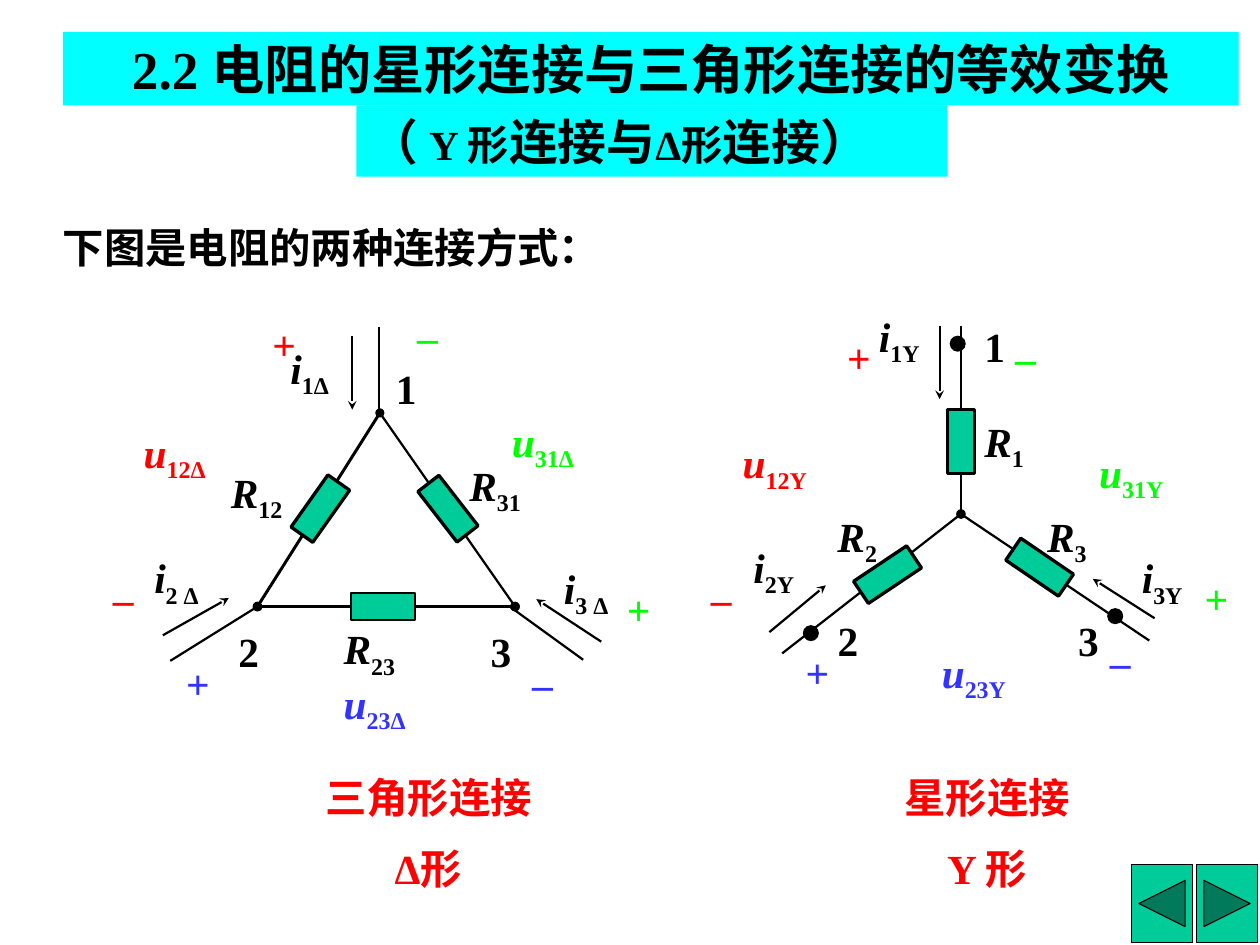
from dataclasses import dataclass

from lxml import etree
from pptx import Presentation
from pptx import util as u
from pptx.dml.color import RGBColor
from pptx.enum import shapes, text
from pptx.oxml.ns import qn


@dataclass(frozen=True)
class Theme:
    """Colours, font, type sizes and line widths of the slide."""
    font: str = "Times New Roman"
    title: int = 36
    subtitle: int = 33
    body: int = 28
    black: str = "000000"
    red: str = "FF0000"
    blue: str = "3333FF"
    green: str = "00FF00"
    cyan: str = "00FFFF"
    teal: str = "00CC99"
    thin: float = 0.75
    wire: float = 1.5
    medium: float = 2
    thick: float = 2.25


T = Theme()
PAIR_COLORS = {"12": T.red, "23": T.blue, "31": T.green}
FRAME = dict(margin_left=u.Inches(0.12), margin_right=u.Inches(0.12),
             margin_top=u.Inches(0.06), margin_bottom=u.Inches(0.06),
             word_wrap=True, vertical_anchor=text.MSO_ANCHOR.TOP,
             auto_size=text.MSO_AUTO_SIZE.NONE)


def apply(target, values):
    """Set attributes of an object from a dict."""
    for name, value in values.items():
        setattr(target, name, value)


def set_fill(sp, color):
    """Give a shape a solid fill."""
    sp.fill.solid()
    sp.fill.fore_color.rgb = RGBColor.from_string(color)


def set_line(sp, weight):
    """Give a shape or connector a black line."""
    sp.line.color.rgb = RGBColor.from_string(T.black)
    sp.line.width = u.Pt(weight)


def add_run(p, string, size=T.body, color=T.black, italic=False, subscript=False):
    """Add one bold run to a paragraph."""
    r = p.add_run()
    r.text = string
    apply(r.font, dict(name=T.font, size=u.Pt(size), bold=True, italic=italic))
    r.font.color.rgb = RGBColor.from_string(color)
    if subscript:
        r.font._element.set("baseline", "-25000")


def add_text(s, box, **frame):
    """Add an empty text box and return its text frame."""
    tf = s.shapes.add_textbox(*map(u.Inches, box)).text_frame
    apply(tf, FRAME | frame)
    return tf


def add_solid(s, kind, box, color, weight=None, rotation=0):
    """Add a filled shape, outlined if a weight is given."""
    sp = s.shapes.add_shape(kind, *map(u.Inches, box))
    sp.shadow.inherit = False
    sp.rotation = rotation
    set_fill(sp, color)
    if weight:
        set_line(sp, weight)
    else:
        sp.line.fill.background()
    return sp


def add_centred(s, kind, origin, centre, size, color, weight, rotation=0):
    """Add a filled shape around a point measured from an origin."""
    corner = [o + c - d / 2 for o, c, d in zip(origin, centre, size)]
    add_solid(s, kind, (*corner, *size), color, weight, rotation)


def add_wire(s, origin, start, end, weight=T.wire, head="none", tail="none"):
    """Draw a line between two points measured from an origin."""
    ends = [o + d for point in (start, end) for o, d in zip(origin, point)]
    c = s.shapes.add_connector(shapes.MSO_CONNECTOR.STRAIGHT, *map(u.Inches, ends))
    set_line(c, weight)
    ln = c._element.spPr.find(qn("a:ln"))
    etree.SubElement(ln, qn("a:headEnd"), type=head)
    etree.SubElement(ln, qn("a:tailEnd"), type=tail)
    etree.SubElement(c._element.spPr, qn("a:effectLst"))


def add_label(s, origin, at, symbol, sub="", color=T.black):
    """Write a sign or number, or an italic symbol with a subscript."""
    width = 1 if sub else 0.49
    p = add_text(s, (origin[0] + at[0], origin[1] + at[1], width, 0.59)).paragraphs[0]
    add_run(p, symbol, color=color, italic=bool(sub))
    if sub:
        add_run(p, sub, color=color, subscript=True)


def add_resistors(s, origin, resistors):
    """Draw each resistor and its name."""
    for sub, (centre, rotation, weight, name_at) in resistors.items():
        add_centred(s, shapes.MSO_SHAPE.RECTANGLE, origin, centre, (0.25, 0.6),
                    T.teal, weight, rotation)
        add_label(s, origin, name_at, "R", sub)


def add_currents(s, origin, currents):
    """Draw each current arrow and its name."""
    for sub, (start, end, name_at) in currents.items():
        add_wire(s, origin, start, end, tail="stealth")
        add_label(s, origin, name_at, "i", sub)


def add_voltages(s, origin, suffix, voltages):
    """Write the signs and name of each voltage in the colour of its pair."""
    for pair, (plus_at, minus_at, name_at) in voltages.items():
        color = PAIR_COLORS[pair]
        add_label(s, origin, plus_at, "+", color=color)
        add_label(s, origin, minus_at, "–", color=color)
        add_label(s, origin, name_at, "u", pair + suffix, color)


def add_numbers(s, origin, places):
    """Number the terminals from 1."""
    for number, at in enumerate(places, 1):
        add_label(s, origin, at, str(number))


def add_delta(s, box):
    """Draw the triangle circuit."""
    origin = box[:2]
    node1, node2, node3 = (2.63, 1.02), (1.48, 2.84), (3.9, 2.84)
    sides = ((node2, node3, T.thick), (node3, node1, T.wire), (node1, node2, T.medium))
    leads = (((2.62, 1.02), (2.62, 0.21)), (node2, (0.66, 3.35)),
             ((3.85, 2.84), (4.54, 3.34)))
    for start, end, weight in sides:
        add_wire(s, origin, start, end, weight, "oval", "oval")
    for start, end in leads:
        add_wire(s, origin, start, end)
    add_resistors(s, origin, {
        "12": ((2.07, 1.92), 35.3, T.thick, (1.11, 1.47)),
        "23": ((2.66, 2.84), 270, T.wire, (2.17, 2.94)),
        "31": ((3.27, 1.92), 322.2, T.thick, (3.35, 1.4))})
    add_currents(s, origin, {
        "1Δ": ((2.37, 0.3), (2.37, 0.99), (1.67, 0.3)),
        "2 Δ": ((0.59, 3.11), (1.21, 2.76), (0.39, 2.27)),
        "3 Δ": ((4.71, 3.17), (4.1, 2.77), (4.24, 2.37))})
    add_voltages(s, origin, "Δ", {
        "12": ((1.5, 0.08), (0, 2.47), (0.29, 1.09)),
        "23": ((0.69, 3.26), (3.94, 3.26), (2.17, 3.45)),
        "31": ((4.83, 2.57), (2.86, 0), (3.75, 0.99))})
    add_numbers(s, origin, ((2.66, 0.49), (1.18, 2.96), (3.55, 2.96)))


def add_star(s, box):
    """Draw the star circuit."""
    origin = box[:2]
    centre = (2.47, 1.97)
    for lead_end in ((2.47, 0.2), (0.79, 3.28), (4.24, 3.16)):
        add_wire(s, origin, centre, lead_end)
    for joint, size in ((centre, 0.08), ((2.44, 0.37), 0.14),
                        ((1.06, 3.09), 0.14), ((3.92, 2.93), 0.14)):
        add_centred(s, shapes.MSO_SHAPE.OVAL, origin, joint, (size, size), T.black, T.thin)
    add_resistors(s, origin, {
        "1": ((2.47, 1.29), 0, T.thick, (2.57, 0.99)),
        "2": ((1.78, 2.54), 56.2, T.thick, (1.19, 1.88)),
        "3": ((3.21, 2.47), 304.3, T.thick, (3.16, 1.88))})
    add_currents(s, origin, {
        "1Y": ((2.27, 0.2), (2.27, 0.89), (1.58, 0)),
        "2Y": ((0.67, 3.08), (1.2, 2.64), (0.4, 2.17)),
        "3Y": ((4.29, 2.95), (3.71, 2.58), (4.05, 2.27))})
    add_voltages(s, origin, "Y", {
        "12": ((1.28, 0.2), (0, 2.47), (0.3, 1.19)),
        "23": ((0.89, 3.16), (3.75, 3.06), (2.17, 3.16)),
        "31": ((4.64, 2.47), (2.86, 0.2), (3.65, 1.28))})
    add_numbers(s, origin, ((2.57, 0.1), (1.19, 2.86), (3.45, 2.86)))


def add_caption(s, box, name, form):
    """Write the two centred red lines under a circuit."""
    tf = add_text(s, box)
    first, second = tf.paragraphs[0], tf.add_paragraph()
    second.space_before = u.Pt(T.body / 2)
    for p, line in ((first, name), (second, form)):
        p.alignment = text.PP_ALIGN.CENTER
        add_run(p, line, color=T.red)


def add_title(s, box):
    """Place and fill the title."""
    title = s.shapes.title
    apply(title, dict(zip(("left", "top", "width", "height"), map(u.Inches, box))))
    set_fill(title, T.cyan)
    apply(title.text_frame, FRAME | dict(vertical_anchor=text.MSO_ANCHOR.MIDDLE))
    p = title.text_frame.paragraphs[0]
    p.alignment = text.PP_ALIGN.CENTER
    add_run(p, "2.2 电阻的星形连接与三角形连接的等效变换", T.title)


def add_subtitle(s, box):
    """Draw the subtitle band with its two type sizes."""
    band = add_solid(s, shapes.MSO_SHAPE.RECTANGLE, box, T.cyan)
    apply(band.text_frame, FRAME)
    p = band.text_frame.paragraphs[0]
    p.alignment = text.PP_ALIGN.LEFT
    for string, size in (("（ ", T.subtitle), ("Y 形", T.body), ("连接与", T.subtitle),
                         ("Δ形", T.body), ("连接）", T.subtitle)):
        add_run(p, string, size)


def add_navigation(s, box):
    """Draw the back and forward buttons at the two ends of a box."""
    x, y, w, h = box
    button_w = 0.58
    kinds = shapes.MSO_SHAPE
    for left, kind in ((x, kinds.ACTION_BUTTON_BACK_OR_PREVIOUS),
                       (x + w - button_w, kinds.ACTION_BUTTON_FORWARD_OR_NEXT)):
        add_solid(s, kind, (left, y, button_w, h), T.teal, T.thin)


def main():
    """Build the slide and save it."""
    prs = Presentation()
    apply(prs, dict(slide_width=u.Inches(11.84), slide_height=u.Inches(8.88)))
    s = prs.slides.add_slide(prs.slide_layouts[5])
    add_navigation(s, (10.63, 8.12, 1.19, 0.74))
    add_title(s, (0.59, 0.3, 11.05, 0.69))
    add_subtitle(s, (3.35, 0.99, 5.55, 0.67))
    intro = add_text(s, (0.47, 2.03, 5.31, 0.59), word_wrap=False)
    add_run(intro.paragraphs[0], "下图是电阻的两种连接方式：")
    add_delta(s, (0.94, 2.86, 5.32, 4.04))
    add_star(s, (6.56, 2.86, 5.13, 3.75))
    add_caption(s, (2.87, 7.2, 2.31, 1.29), "三角形连接", "Δ形")
    add_caption(s, (8.14, 7.2, 2.27, 1.29), "星形连接", "Y 形")
    prs.save("out.pptx")


if __name__ == "__main__":
    main()
